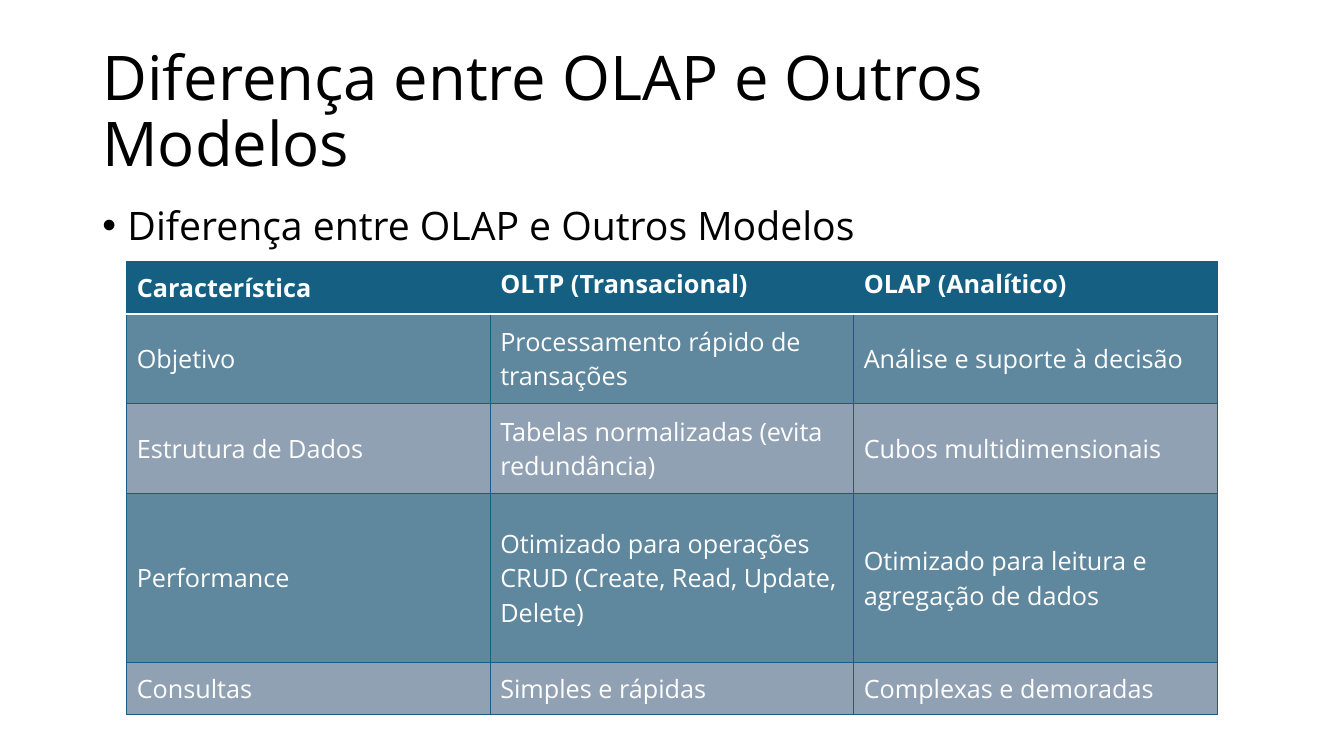
from dataclasses import dataclass

from lxml import etree
from pptx import Presentation
from pptx import util as u
from pptx.dml.color import RGBColor
from pptx.enum import text
from pptx.oxml.ns import qn


@dataclass(frozen=True)
class Theme:
    font: str = "Open Sans"
    ink: str = "000000"
    paper: str = "FFFFFF"
    head: str = "156082"
    odd: str = "5F879D"
    even: str = "91A1B4"
    title: int = 44
    body: int = 28
    cell: int = 18
    line: float = 1
    rule: float = 1.5


class Deck:
    def __init__(self, theme):
        self.theme = theme
        self.prs = Presentation()
        self.prs.slide_width, self.prs.slide_height = u.Pt(960), u.Pt(540)
        self.slide = self.prs.slides.add_slide(self.prs.slide_layouts[6])

    def style(self, para, size, color, bold=False):
        for run in para.runs:
            font = run.font
            font.name, font.size, font.bold = self.theme.font, u.Pt(size), bold
            font.color.rgb = RGBColor.from_string(color)

    def label(self, words, box, size, anchor=text.MSO_ANCHOR.TOP):
        shape = self.slide.shapes.add_textbox(*map(u.Pt, box))
        frame = shape.text_frame
        frame.text = words
        frame.word_wrap = True
        frame.vertical_anchor = anchor
        para = frame.paragraphs[0]
        para.line_spacing = 0.9
        self.style(para, size, self.theme.ink)
        return para

    def bullet(self, words, box, size):
        para = self.label(words, box, size)
        para.space_before = u.Pt(10)
        props = para._p.get_or_add_pPr()
        props.set("marL", str(u.Pt(18)))
        props.set("indent", str(-u.Pt(18)))
        etree.SubElement(props, qn("a:buFont")).set("typeface", "Arial")
        etree.SubElement(props, qn("a:buChar")).set("char", "•")

    def border(self, cell, edges):
        """Draw the edges, given in schema order as side: (colour, width)."""
        props = cell._tc.get_or_add_tcPr()
        for spot, (side, (color, width)) in enumerate(edges.items()):
            line = etree.Element(qn(f"a:ln{side}"), w=str(u.Pt(width)))
            fill = etree.SubElement(line, qn("a:solidFill"))
            etree.SubElement(fill, qn("a:srgbClr")).set("val", color)
            props.insert(spot, line)

    def table(self, rows, left, top, width, heights):
        look = self.theme
        count = len(rows[0])
        frame = self.slide.shapes.add_table(
            len(rows), count, *map(u.Pt, (left, top, width, sum(heights))))
        grid = frame.table
        for col in grid.columns:
            col.width = u.Pt(width / count)
        for r, (row, high) in enumerate(zip(rows, heights)):
            grid.rows[r].height = u.Pt(high)
            shade = look.head if r == 0 else look.odd if r % 2 else look.even
            edges = dict.fromkeys("LRTB", (look.head, look.line))
            if r < 2:
                edges["T" if r else "B"] = (look.paper, look.rule)
            for c, words in enumerate(row):
                cell = grid.cell(r, c)
                cell.text_frame.text = words
                top_set = r == 0 and c > 0
                cell.vertical_anchor = (text.MSO_ANCHOR.TOP if top_set
                                        else text.MSO_ANCHOR.MIDDLE)
                cell.fill.solid()
                cell.fill.fore_color.rgb = RGBColor.from_string(shade)
                self.style(cell.text_frame.paragraphs[0], look.cell,
                           look.paper, r == 0)
                self.border(cell, edges)


ROWS = [
    ("Característica", "OLTP (Transacional)", "OLAP (Analítico)"),
    ("Objetivo", "Processamento rápido de transações",
     "Análise e suporte à decisão"),
    ("Estrutura de Dados", "Tabelas normalizadas (evita redundância)",
     "Cubos multidimensionais"),
    ("Performance",
     "Otimizado para operações CRUD (Create, Read, Update, Delete)",
     "Otimizado para leitura e agregação de dados"),
    ("Consultas", "Simples e rápidas", "Complexas e demoradas"),
]


def main():
    theme = Theme()
    deck = Deck(theme)
    topic = "Diferença entre OLAP e Outros Modelos"
    deck.label(topic, (66, 28.75, 828, 104.4), theme.title,
               text.MSO_ANCHOR.MIDDLE)
    deck.bullet(topic, (66, 143.75, 828, 342.6), theme.body)
    deck.table(ROWS, 90.5, 186.8, 779, (37.2, 64.4, 64.4, 120.6, 37.2))
    deck.prs.save("out.pptx")


if __name__ == "__main__":
    main()
